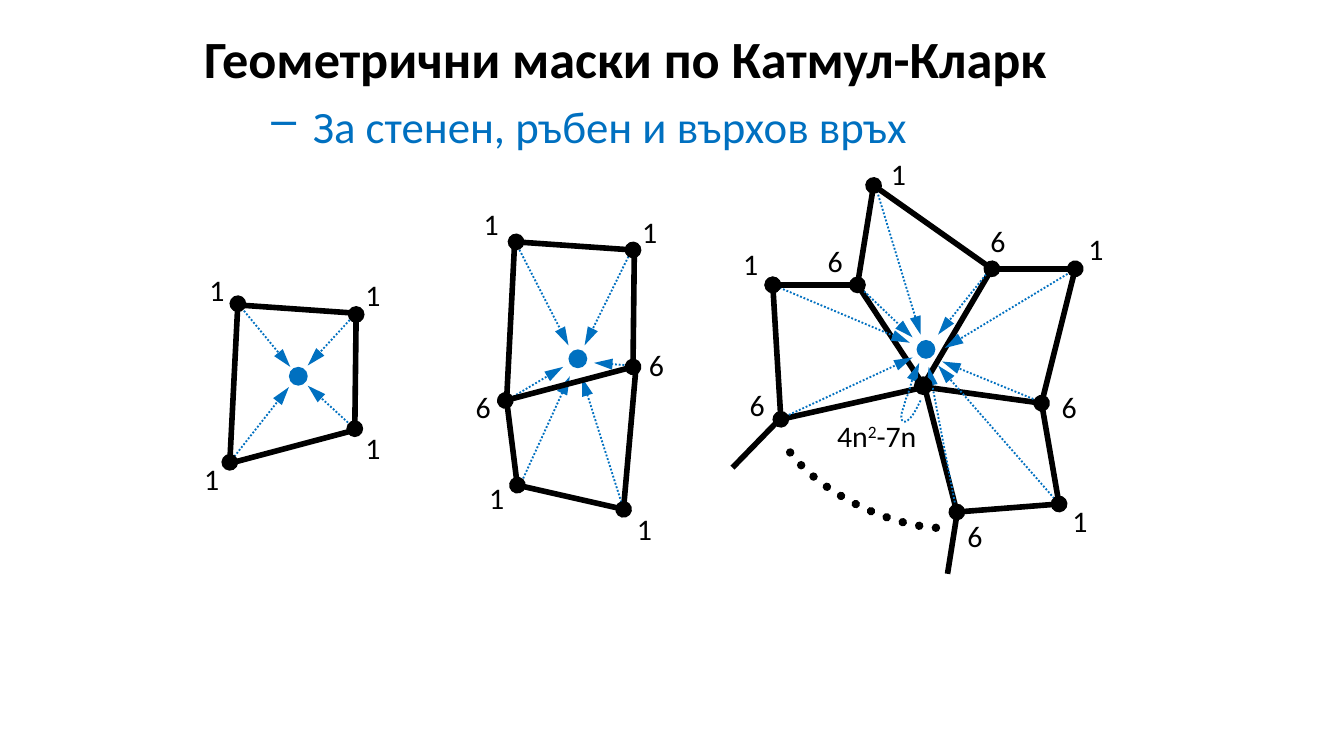
from lxml.etree import SubElement as Sub
from pptx import Presentation
from pptx.dml.color import RGBColor
from pptx.enum.dml import MSO_LINE as Dash
from pptx.enum.shapes import MSO_CONNECTOR as Link, MSO_SHAPE as Kind
from pptx.oxml.ns import qn
from pptx.util import Inches, Pt

BLACK = RGBColor(0x00, 0x00, 0x00)
BLUE = RGBColor(0x00, 0x70, 0xC0)


def write(para, words, size=16, color=BLACK, bold=False, rise=None):
    run = para.add_run()
    run.text = words
    font = run.font
    font.name, font.size, font.bold = "Calibri", Pt(size), bold
    font.color.rgb = color
    if rise:
        font._element.set("baseline", rise)


def stroke(shape, color=BLACK, width=3, dash=None, head=None, tail=None):
    shape.line.color.rgb = color
    shape.line.width = Pt(width)
    if dash:
        shape.line.dash_style = dash
    props = shape._element.spPr
    edge = props.find(qn("a:ln"))
    for tag, end in (("a:headEnd", head), ("a:tailEnd", tail)):
        if end:
            tip = Sub(edge, qn(tag))
            tip.set("type", end)
            if end == "triangle":
                tip.set("len", "lg")
    Sub(props, qn("a:effectLst"))


deck = Presentation()
deck.slide_width, deck.slide_height = Inches(10), Inches(10 * 9 / 16)
slide = deck.slides.add_slide(deck.slide_layouts[6])
shapes = slide.shapes

body = shapes.add_textbox(Inches(1.42), Inches(0.15), Inches(8.58), Inches(5.17))
frame = body.text_frame
frame.word_wrap = True
write(frame.paragraphs[0], "Геометрични маски по Катмул-Кларк", size=28, bold=True)
item = frame.add_paragraph()
item.level = 1
item.space_before = Pt(4.8)
props = item._p.get_or_add_pPr()
props.set("marL", str(Inches(0.81)))
props.set("indent", str(-Inches(0.31)))
Sub(props, qn("a:buChar")).set("char", "–")
write(item, "За стенен, ръбен и върхов връх", size=24, color=BLUE)

plain = [
    (2.64, 3.2, 1.7, 3.45), (2.64, 2.33, 1.78, 2.27),
    (4.71, 2.72, 4.72, 1.87), (3.83, 1.79, 3.77, 2.97),
    (4.64, 3.78, 4.73, 2.76), (3.85, 3.62, 3.77, 2.98),
    (6.88, 2.85, 7.38, 2), (6.38, 2.12, 6.88, 2.88),
    (5.81, 3.12, 6.88, 2.88), (7.12, 3.81, 6.88, 2.88),
    (7.75, 3, 6.88, 2.88), (7.88, 3.75, 7.75, 3),
    (5.45, 3.48, 5.82, 3.1), (7.05, 4.27, 7.12, 3.83),
    (8, 2, 7.38, 2), (6.5, 1.38, 6.38, 2.12),
]
arrows = [
    (1.78, 2.27, 2.16, 2.73), (2.65, 3.2, 2.29, 2.87),
    (1.71, 3.44, 2.15, 2.88), (2.64, 2.34, 2.29, 2.72),
    (3.84, 1.81, 4.23, 2.57), (4.7, 2.72, 4.42, 2.7),
    (3.77, 2.98, 4.19, 2.73), (4.7, 1.86, 4.35, 2.57),
    (3.87, 3.61, 4.24, 2.8), (4.64, 3.79, 4.33, 2.81),
    (7.37, 2, 6.98, 2.49), (6.51, 1.37, 6.85, 2.49),
    (6.39, 2.13, 6.79, 2.51), (5.75, 2.12, 6.77, 2.55),
    (5.82, 3.11, 6.79, 2.66), (7.99, 2.01, 7.03, 2.59),
    (7.74, 2.99, 7.01, 2.69), (7.88, 3.75, 6.98, 2.72),
    (7.12, 3.82, 6.91, 2.73),
]
knobs = [
    (2.64, 3.19, 2.65, 2.34), (1.77, 2.26, 1.71, 3.44),
    (4.71, 1.86, 3.84, 1.8), (4.71, 2.73, 3.76, 2.98),
    (4.64, 3.79, 3.85, 3.61), (5.81, 3.12, 5.75, 2.12),
    (8, 2, 7.75, 3), (6.5, 1.38, 7.38, 2),
    (6.38, 2.12, 5.75, 2.12), (7.88, 3.75, 7.12, 3.81),
]
dotted = dict(color=BLUE, width=1, dash=Dash.ROUND_DOT, tail="triangle")
groups = [(plain, {}), (arrows, dotted), (knobs, dict(head="oval", tail="oval"))]
for lines, look in groups:
    for ends in lines:
        line = shapes.add_connector(Link.STRAIGHT, *map(Inches, ends))
        stroke(line, **look)

arc = shapes.add_shape(Kind.ARC, Inches(5.71), Inches(3), Inches(1.74), Inches(0.81))
arc.rotation = 25.7
arc.adjustments[0], arc.adjustments[1] = 16.82, 97.8
arc.fill.background()
stroke(arc, width=4.5, dash=Dash.ROUND_DOT)
arc._element.spPr.find(qn("a:ln")).set("cap", "rnd")

curves = [
    ((6.85, 2.98), (6.84, 3), (6.83, 3.02), (6.82, 3.04)),
    ((6.82, 3.04), (6.76, 3.16), (6.69, 3.17), (6.71, 3.07)),
    ((6.71, 3.07), (6.72, 3.04), (6.73, 3.01), (6.74, 2.97)),
    ((6.74, 2.97), (6.77, 2.92), (6.81, 2.71), (6.84, 2.7)),
]
points = []
for curve in curves:
    for step in range(1, 9):
        t = step / 8
        parts = ((1 - t) ** 3, 3 * t * (1 - t) ** 2, 3 * t * t * (1 - t), t ** 3)
        points.append([Inches(sum(w * p[axis] for w, p in zip(parts, curve)))
                       for axis in (0, 1)])
pen = shapes.build_freeform(Inches(6.85), Inches(2.98))
pen.add_line_segments(points, close=False)
loop = pen.convert_to_shape()
loop.fill.background()
stroke(loop, **dotted)

dots = [(2.15, 2.73, BLUE), (4.23, 2.6, BLUE), (6.82, 2.53, BLUE), (6.8, 2.8, BLACK)]
for x, y, color in dots:
    dot = shapes.add_shape(Kind.OVAL, Inches(x), Inches(y), Inches(0.14), Inches(0.14))
    dot.shadow.inherit = False
    dot.fill.solid()
    dot.fill.fore_color.rgb = color
    dot.line.fill.background()

ones = [
    (1.46, 1.97), (2.62, 2.01), (2.62, 3.15), (1.42, 3.38),
    (3.5, 1.48), (4.68, 1.54), (3.54, 3.52), (4.64, 3.75),
    (6.53, 1.11), (8, 1.67), (7.88, 3.69), (5.43, 1.78),
]
sixes = [
    (4.73, 2.53), (3.44, 2.84), (6.06, 1.76), (7.27, 1.61),
    (7.8, 2.84), (7.1, 3.8), (5.48, 2.83),
]
labels = [
    (ones, 0.32, [("1", None)]),
    (sixes, 0.32, [("6", None)]),
    ([(6.13, 3.06)], 0.81, [("4n", None), ("2", "30000"), ("-7n", None)]),
]
for spots, width, runs in labels:
    for x, y in spots:
        label = shapes.add_textbox(Inches(x), Inches(y), Inches(width), Inches(0.37))
        label.text_frame.word_wrap = False
        for words, rise in runs:
            write(label.text_frame.paragraphs[0], words, rise=rise)

deck.save("out.pptx")
